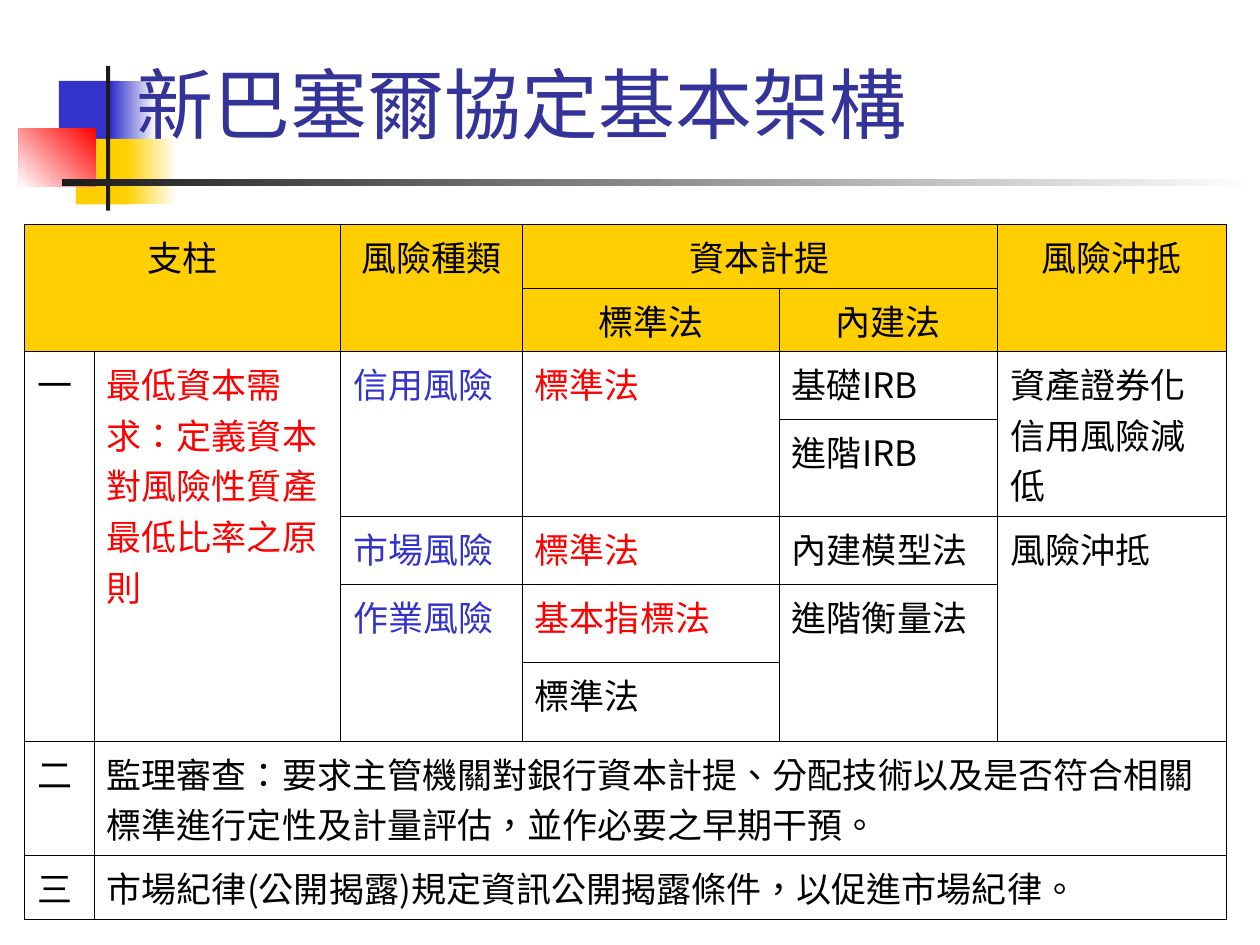
import pptx
import pptx.util
import pptx.dml.color
import pptx.enum.lang
import pptx.enum.shapes
import pptx.enum.text
import pptx.oxml
import pptx.oxml.ns

Cm = pptx.util.Cm
Pt = pptx.util.Pt
ALIGN = pptx.enum.text.PP_ALIGN

CJK, LATIN = "Noto Sans CJK SC", "Noto Sans CJK TC"
BLACK, WHITE, DARK = "000000", "FFFFFF", "1C1C1C"
BLUE, RED, GOLD, NAVY = "3333CC", "FF0000", "FFCF01", "333399"

DECORATION = [
    (1.19, 1.63, 1.22, 1.32, [BLUE], 0),
    (2.24, 1.63, 0.91, 1.32, [WHITE, BLUE], 180),
    (1.53, 2.8, 1.17, 1.32, [GOLD], 0),
    (2.55, 2.8, 1.02, 1.32, [WHITE, GOLD], 180),
    (0.38, 2.59, 1.55, 1.17, [RED, WHITE], 225),
    (2.14, 1.33, 0.08, 2.92, [DARK], 0),
    (1.25, 3.61, 24.15, 0.15, [WHITE, DARK], 180),
]

COLUMNS = [1.4, 4.97, 3.66, 5.18, 4.4, 4.61]
ROWS = [1.29, 1.27, 1.37, 1.96, 1.37, 1.58, 1.58, 2.3, 1.29]

HEADERS = [
    (0, 0, 2, 2, "支柱"),
    (0, 2, 2, 1, "風險種類"),
    (0, 3, 1, 2, "資本計提"),
    (0, 5, 2, 1, "風險沖抵"),
    (1, 3, 1, 1, "標準法"),
    (1, 4, 1, 1, "內建法"),
]

BODY = [
    (2, 0, 5, 1, BLACK, ["一"]),
    (2, 1, 5, 1, RED, ["最低資本需求：定義資本對風險性質產最低比率之原則"]),
    (2, 2, 2, 1, BLUE, ["信用風險"]),
    (2, 3, 2, 1, RED, ["標準法"]),
    (2, 4, 1, 1, BLACK, ["基礎", "IRB"]),
    (2, 5, 2, 1, BLACK, ["資產證券化信用風險減低"]),
    (3, 4, 1, 1, BLACK, ["進階", "IRB"]),
    (4, 2, 1, 1, BLUE, ["市場風險"]),
    (4, 3, 1, 1, RED, ["標準法"]),
    (4, 4, 1, 1, BLACK, ["內建模型法"]),
    (4, 5, 3, 1, BLACK, ["風險沖抵"]),
    (5, 2, 2, 1, BLUE, ["作業風險"]),
    (5, 3, 1, 1, RED, ["基本指標法"]),
    (5, 4, 2, 1, BLACK, ["進階衡量法"]),
    (6, 3, 1, 1, BLACK, ["標準法"]),
    (7, 0, 1, 1, BLACK, ["二"]),
    (7, 1, 1, 5, BLACK, ["監理審查：要求主管機關對銀行資本計提、分配技術以及是否符合相關標準進行定性及計量評估，並作必要之早期干預。"]),
    (8, 0, 1, 1, BLACK, ["三"]),
    (8, 1, 1, 5, BLACK, ["市場紀律", "(", "公開揭露", ")", "規定資訊公開揭露條件，以促進市場紀律。"]),
]


def rgb(value):
    return pptx.dml.color.RGBColor.from_string(value)


def add_run(p, text, size, color, font):
    r = p.add_run()
    r.text = text
    r.font.size = Pt(size)
    r.font.name = font
    r.font.color.rgb = rgb(color)
    r.font.language_id = pptx.enum.lang.MSO_LANGUAGE_ID.TRADITIONAL_CHINESE
    ea = pptx.oxml.parse_xml(f'<a:ea {pptx.oxml.ns.nsdecls("a")} typeface="{CJK}"/>')
    r.font._element.find(pptx.oxml.ns.qn("a:latin")).addnext(ea)


def add_block(s, left, top, width, height, colors, angle):
    sp = s.shapes.add_shape(pptx.enum.shapes.MSO_SHAPE.RECTANGLE,
                            Cm(left), Cm(top), Cm(width), Cm(height))
    sp.shadow.inherit = False
    sp.line.fill.background()
    if len(colors) == 1:
        sp.fill.solid()
        sp.fill.fore_color.rgb = rgb(colors[0])
        return
    sp.fill.gradient()
    sp.fill.gradient_angle = angle
    for stop, color in zip(sp.fill.gradient_stops, colors):
        stop.color.rgb = rgb(color)


def add_title(s, text):
    sp = s.shapes.add_textbox(Cm(2.51), Cm(0.91), Cm(21.59), Cm(2.21))
    tf = sp.text_frame
    tf.word_wrap = True
    tf.vertical_anchor = pptx.enum.text.MSO_ANCHOR.BOTTOM
    add_run(tf.paragraphs[0], text, 44, NAVY, "Cabin")


def add_borders(cell):
    tcPr = cell._tc.get_or_add_tcPr()
    for side in ("lnL", "lnR", "lnT", "lnB"):
        tcPr.append(pptx.oxml.parse_xml(
            f'<a:{side} {pptx.oxml.ns.nsdecls("a")} w="{Pt(0.45)}"><a:solidFill>'
            f'<a:srgbClr val="{BLACK}"/></a:solidFill></a:{side}>'))


def fill_cell(table, row, col, height, width, color, texts, align):
    cell = table.cell(row, col)
    if height * width > 1:
        cell.merge(table.cell(row + height - 1, col + width - 1))
    p = cell.text_frame.paragraphs[0]
    p.alignment = align
    p._p.get_or_add_pPr().set("hangingPunct", "0")
    for text in texts:
        add_run(p, text, 20, color, LATIN if text.isascii() else CJK)


def add_framework_table(s):
    frame = s.shapes.add_table(len(ROWS), len(COLUMNS), Cm(0.5), Cm(4.52),
                               Cm(sum(COLUMNS)), Cm(sum(ROWS)))
    table = frame.table
    table.first_row = table.horz_banding = False
    for column, width in zip(table.columns, COLUMNS):
        column.width = Cm(width)
    for i, (row, height) in enumerate(zip(table.rows, ROWS)):
        row.height = Cm(height)
        for cell in row.cells:
            add_borders(cell)
            if i < 2:
                cell.fill.solid()
                cell.fill.fore_color.rgb = rgb(GOLD)
            else:
                cell.fill.background()
    for *place, text in HEADERS:
        fill_cell(table, *place, BLACK, [text], ALIGN.CENTER)
    for entry in BODY:
        fill_cell(table, *entry, ALIGN.LEFT)


def main():
    prs = pptx.Presentation()
    prs.slide_width, prs.slide_height = Cm(25.4), Cm(19.05)
    s = prs.slides.add_slide(prs.slide_layouts[6])
    for block in DECORATION:
        add_block(s, *block)
    add_title(s, "新巴塞爾協定基本架構")
    add_framework_table(s)
    prs.save("out.pptx")


if __name__ == "__main__":
    main()
